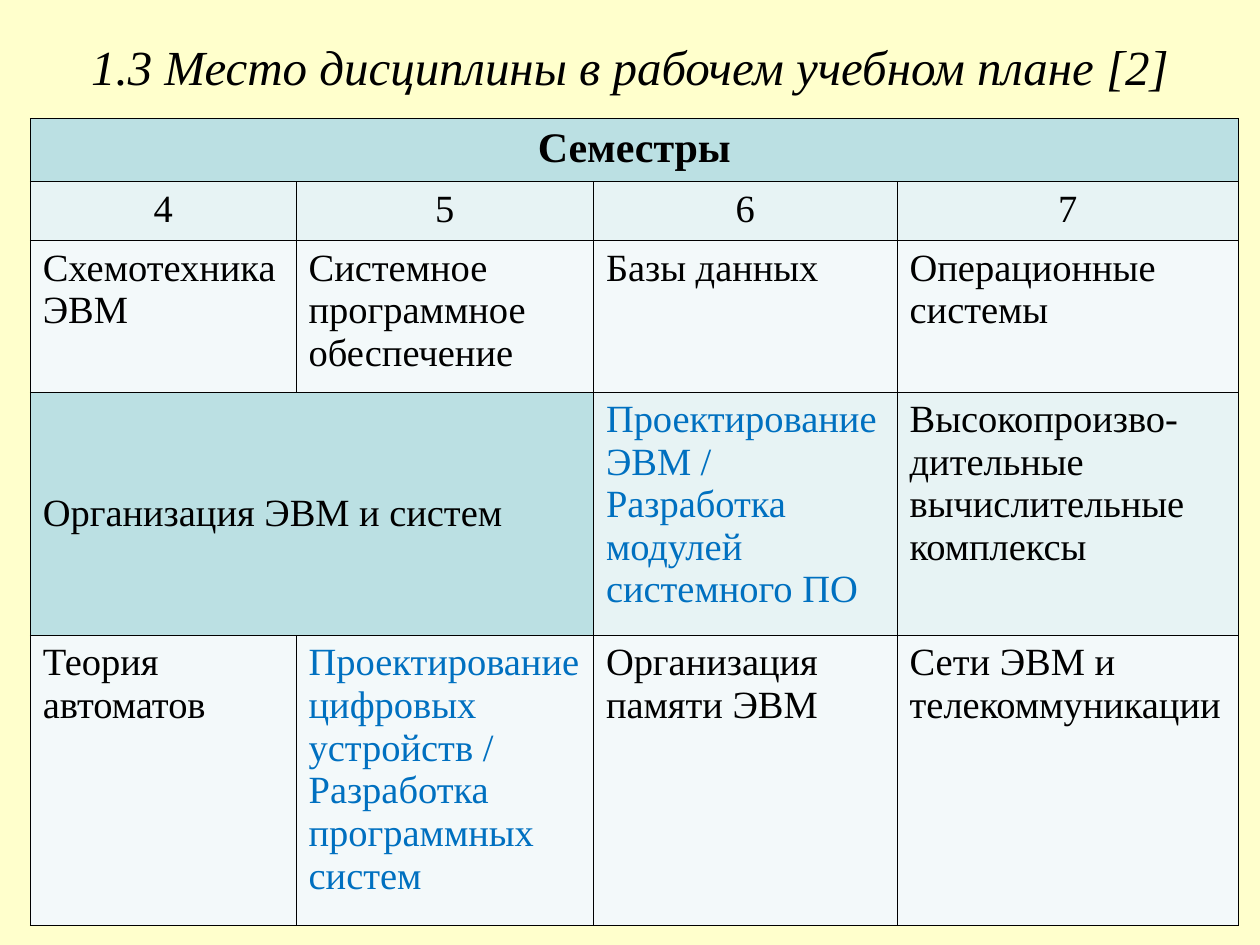
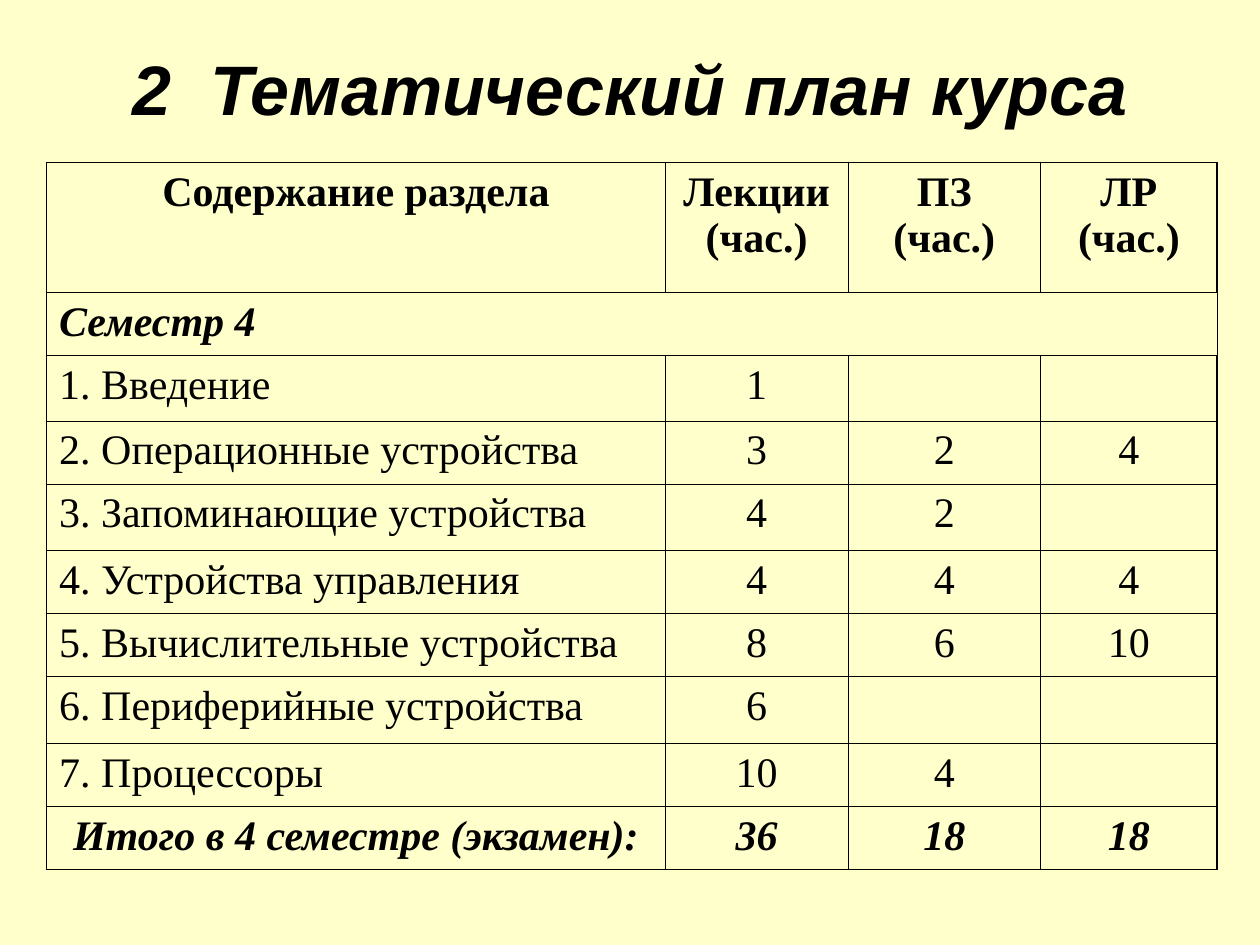
from lxml import etree
from pptx import Presentation
from pptx.dml.color import RGBColor
from pptx.enum.text import MSO_ANCHOR, PP_ALIGN
from pptx.oxml.ns import qn
from pptx.util import Inches, Pt

LEFT, CENTER = PP_ALIGN.LEFT, PP_ALIGN.CENTER
TOP, MIDDLE = MSO_ANCHOR.TOP, MSO_ANCHOR.MIDDLE

THEME = {
    "page": "FFFFCC", "ink": "000000", "blue": "0070C0",
    "dark": "BBE0E3", "mid": "E7F3F4", "light": "F3F9FA",
    "serif": "Times New Roman", "sans": "Arial",
    "text": 22, "head": 24, "title": 28, "big": 40,
    "thin": 0.45, "thick": 1.08,
}


def write(frame, text, align=LEFT, anchor=TOP, color="ink", indent=0, **form):
    """Fill a text frame; form holds font values."""
    frame.text = text
    frame.word_wrap = True
    frame.vertical_anchor = anchor
    for para in frame.paragraphs:
        para.alignment = align
        if indent:
            props = para._p.get_or_add_pPr()
            props.set("marL", str(Inches(indent)))
            props.set("indent", str(-Inches(indent)))
        for run in para.runs:
            run.font.color.rgb = RGBColor.from_string(THEME[color])
            for key, value in form.items():
                setattr(run.font, key, value)


def grid(slide, left, top, cols, rows, spans, edge):
    """Add a ruled, unfilled table; edge is the outer line width."""
    table = slide.shapes.add_table(len(rows), len(cols), Inches(left), Inches(top),
                                   Inches(sum(cols)), Inches(sum(rows))).table
    table.first_row = table.horz_banding = False
    for col, width in zip(table.columns, cols):
        col.width = Inches(width)
    for row, height in zip(table.rows, rows):
        row.height = Inches(height)
    for r in range(len(rows)):
        for c in range(len(cols)):
            cell = table.cell(r, c)
            cell.fill.background()
            props = cell._tc.get_or_add_tcPr()
            outer = {"lnL": c == 0, "lnR": c == len(cols) - 1,
                     "lnT": r == 0, "lnB": r == len(rows) - 1}
            for place, (side, out) in enumerate(outer.items()):
                line = etree.Element(qn("a:" + side), w=str(Pt(edge if out else THEME["thin"])))
                fill = etree.SubElement(line, qn("a:solidFill"))
                etree.SubElement(fill, qn("a:srgbClr"), val=THEME["ink"])
                props.insert(place, line)
    for r, first, last in spans:
        table.cell(r, first).merge(table.cell(r, last))
    return table


deck = Presentation()
deck.slide_width, deck.slide_height = Inches(10), Inches(7.5)

# Slides with their titles
titles = [
    ("1.3 Место дисциплины в рабочем учебном плане [2]", 0.06, 0.92,
     {"size": Pt(THEME["title"]), "name": THEME["serif"], "bold": False}),
    ("2  Тематический план курса", 0.3, 0.79,
     {"size": Pt(THEME["big"]), "name": THEME["sans"], "bold": True}),
]
slides = []
for text, top, height, form in titles:
    slide = deck.slides.add_slide(deck.slide_layouts[6])
    slide.background.fill.solid()
    slide.background.fill.fore_color.rgb = RGBColor.from_string(THEME["page"])
    box = slide.shapes.add_textbox(Inches(0.5), Inches(top), Inches(9), Inches(height))
    write(box.text_frame, text, CENTER, MIDDLE, italic=True, **form)
    slides.append(slide)

# Slide 1: courses by semester
courses = [
    ["Семестры", None, None, None],
    ["4", "5", "6", "7"],
    ["Схемотехника ЭВМ", "Системное программное обеспечение", "Базы данных",
     "Операционные системы"],
    ["Организация ЭВМ и систем", None,
     "Проектирование ЭВМ / Разработка модулей системного ПО",
     "Высокопроизво-дительные вычислительные комплексы"],
    ["Теория автоматов",
     "Проектирование цифровых устройств / Разработка программных систем",
     "Организация памяти ЭВМ", "Сети ЭВМ и телекоммуникации"],
]
tints = ["dark", "mid", "light", "mid", "light"]
wide = (3, 0)
chosen = [(3, 2), (4, 1)]
table = grid(slides[0], 0.24, 0.94, [2.11, 2.36, 2.41, 2.71], [0.5, 0.47, 1.2, 1.93, 2.3],
             [(0, 0, 3), (3, 0, 1)], THEME["thin"])
for r, row in enumerate(courses):
    for c, text in enumerate(row):
        if text is None:
            continue
        cell = table.cell(r, c)
        cell.fill.solid()
        tint = "dark" if (r, c) == wide else tints[r]
        cell.fill.fore_color.rgb = RGBColor.from_string(THEME[tint])
        write(cell.text_frame, text, CENTER if r < 2 else LEFT,
              color="blue" if (r, c) in chosen else "ink", name=THEME["serif"],
              size=Pt(THEME["head" if r == 0 else "text"]), bold=r == 0)
        cell.vertical_anchor = MIDDLE if (r, c) == wide else TOP

# Slide 2: hours by topic
hours = [
    ["Содержание раздела", "Лекции\n(час.)", "ПЗ\v(час.)", "ЛР (час.)"],
    ["Семестр 4", "", "", ""],
    ["1. Введение", "1", "", ""],
    ["2. Операционные устройства", "3", "2", "4"],
    ["3. Запоминающие устройства", "4", "2", ""],
    ["4. Устройства управления", "4", "4", "4"],
    ["5. Вычислительные устройства", "8", "6", "10"],
    ["6. Периферийные устройства", "6", "", ""],
    ["7. Процессоры", "10", "4", ""],
    ["Итого в 4 семестре (экзамен):", "36", "18", "18"],
]
total = len(hours) - 1
table = grid(slides[1], 0.37, 1.29, [4.91, 1.45, 1.53, 1.4],
             [1.03, 0.5, 0.52, 0.5, 0.53, 0.5, 0.5, 0.53, 0.5, 0.5], [(1, 0, 3)],
             THEME["thick"])
for r, row in enumerate(hours):
    for c, text in enumerate(row):
        if not text:
            continue
        topic = c == 0 and 1 < r < total
        hang = 0.58 if topic else 0 if r == 0 and c > 1 else 0.38
        write(table.cell(r, c).text_frame, text,
              LEFT if topic or r == 1 else CENTER, indent=hang,
              name=THEME["serif"], size=Pt(THEME["head"]),
              bold=r in (0, 1, total), italic=r in (1, total))

deck.save("out.pptx")
